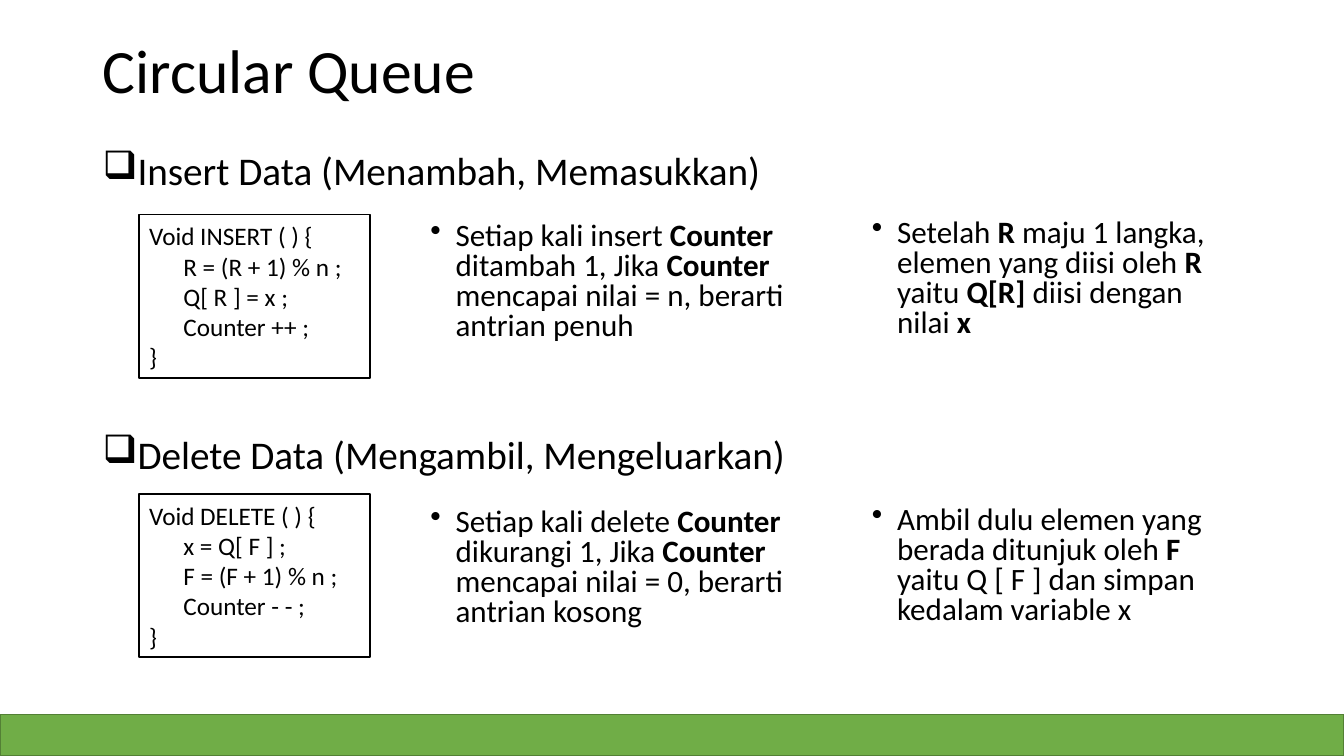
from dataclasses import dataclass

from lxml import etree
from pptx import Presentation
from pptx import util as u
from pptx.dml import color
from pptx.enum import shapes, text
from pptx.oxml import ns

COLORS = {"ink": "000000", "paper": "FFFFFF", "band": "70AD47", "band_edge": "538035"}
FONT = "Calibri"
HANGING = 0.25
CODE_INDENT = 0.34


@dataclass(frozen=True)
class Operation:
    heading: str
    heading_top: float
    code: tuple[str, ...]
    code_top: float
    counter_note: str
    counter_top: float
    element_note: str
    element_top: float


OPERATIONS = (
    Operation(
        "Insert Data (Menambah, Memasukkan)", 1.45,
        ("Void INSERT ( ) {", "R = (R + 1) % n ;", "Q[ R ] = x ;", "Counter ++ ;", "}"), 2.13,
        "Setiap kali insert *Counter *ditambah 1, Jika *Counter *"
        "mencapai nilai = n, berarti antrian penuh", 2.16,
        "Setelah *R *maju 1 langka, elemen yang diisi oleh *R *"
        "yaitu *Q[R] *diisi dengan nilai *x*", 2.13,
    ),
    Operation(
        "Delete Data (Mengambil, Mengeluarkan)", 4.27,
        ("Void DELETE ( ) {", "x = Q[ F ] ;", "F = (F + 1) % n ;", "Counter - - ;", "}"), 4.9,
        "Setiap kali delete *Counter *dikurangi 1, Jika *Counter *"
        "mencapai nilai = 0, berarti antrian kosong", 5,
        "Ambil dulu elemen yang berada ditunjuk oleh *F *"
        "yaitu Q [ F ] dan simpan kedalam variable x", 4.98,
    ),
)


def rgb(name: str) -> color.RGBColor:
    return color.RGBColor.from_string(COLORS[name])


def set_indent(para, margin: float, first: float = 0, bullet: str = "") -> None:
    properties = para._p.get_or_add_pPr()
    properties.set("marL", str(u.Inches(margin)))
    properties.set("indent", str(u.Inches(first)))
    if bullet:
        etree.SubElement(properties, ns.qn("a:buChar")).set("char", bullet)


def write(frame, content: str, *, size: float, spacing: float = 1, before: float = 0,
          margin: float = 0, bullet: str = "", new_para: bool = False) -> None:
    frame.word_wrap = True
    para = frame.add_paragraph() if new_para else frame.paragraphs[0]
    para.alignment = text.PP_ALIGN.LEFT
    para.line_spacing = spacing
    para.space_before = u.Pt(before)
    set_indent(para, margin, -margin if bullet else 0, bullet)
    for index, part in enumerate(content.split("*")):
        if part:
            span = para.add_run()
            span.text = part
            span.font.name = FONT
            span.font.size = u.Pt(size)
            span.font.bold = index % 2 == 1
            span.font.color.rgb = rgb("ink")


def add_text(page, left: float, top: float, width: float, height: float,
             content: str, **style):
    box = page.shapes.add_textbox(*map(u.Inches, (left, top, width, height)))
    write(box.text_frame, content, **style)
    return box


def add_rectangle(page, left: float, top: float, width: float, height: float,
                  fill: str, line: str):
    box = page.shapes.add_shape(shapes.MSO_SHAPE.RECTANGLE,
                                *map(u.Inches, (left, top, width, height)))
    box.shadow.inherit = False
    box.fill.solid()
    box.fill.fore_color.rgb = rgb(fill)
    box.line.color.rgb = rgb(line)
    box.line.width = u.Pt(1)
    return box


def add_code(page, lines: tuple[str, ...], top: float) -> None:
    frame = add_rectangle(page, 1.38, top, 2.29, 1.62, "paper", "ink").text_frame
    frame.vertical_anchor = text.MSO_ANCHOR.MIDDLE
    for index, line in enumerate(lines):
        inside = 0 < index < len(lines) - 1
        write(frame, line, size=18, margin=CODE_INDENT if inside else 0, new_para=index > 0)


def add_operation(page, operation: Operation) -> None:
    note_style = dict(size=22.2, spacing=0.8, before=10, margin=HANGING, bullet="•")
    add_text(page, 0.92, operation.heading_top, 11.5, 0.55, operation.heading,
             size=28, spacing=0.9, before=10, margin=HANGING, bullet="❑")
    add_code(page, operation.code, operation.code_top)
    add_text(page, 4.17, operation.counter_top, 4.39, 1.35, operation.counter_note, **note_style)
    add_text(page, 8.55, operation.element_top, 3.57, 1.31, operation.element_note, **note_style)


def main() -> None:
    deck = Presentation()
    deck.slide_width, deck.slide_height = u.Inches(13.33), u.Inches(7.5)
    page = deck.slides.add_slide(deck.slide_layouts[6])
    title = add_text(page, 0.92, 0, 11.5, 1.45, "Circular Queue", size=44, spacing=0.9)
    title.text_frame.vertical_anchor = text.MSO_ANCHOR.MIDDLE
    add_rectangle(page, 0, 7.09, 13.33, 0.41, "band", "band_edge")
    for operation in OPERATIONS:
        add_operation(page, operation)
    deck.save("out.pptx")


if __name__ == "__main__":
    main()
